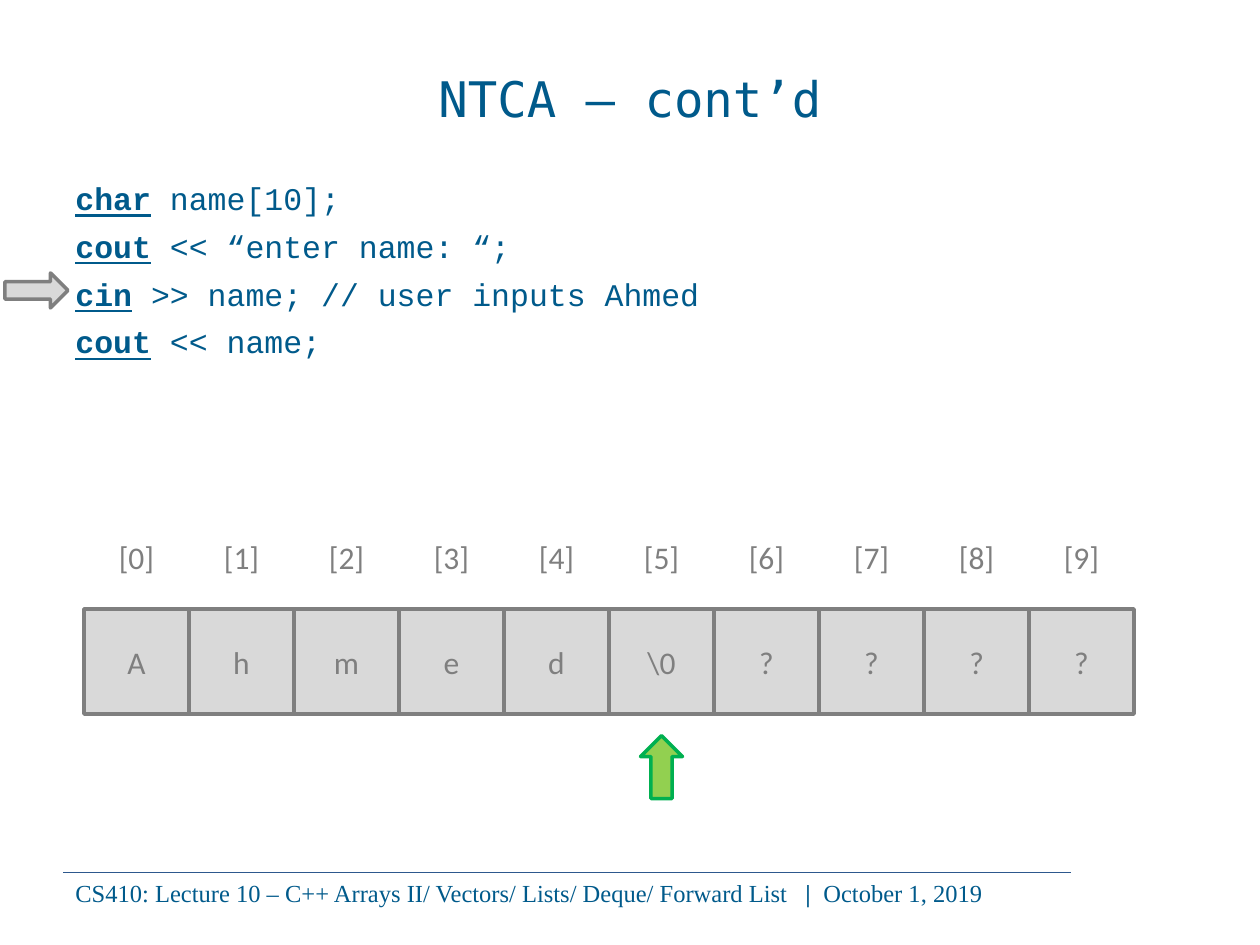
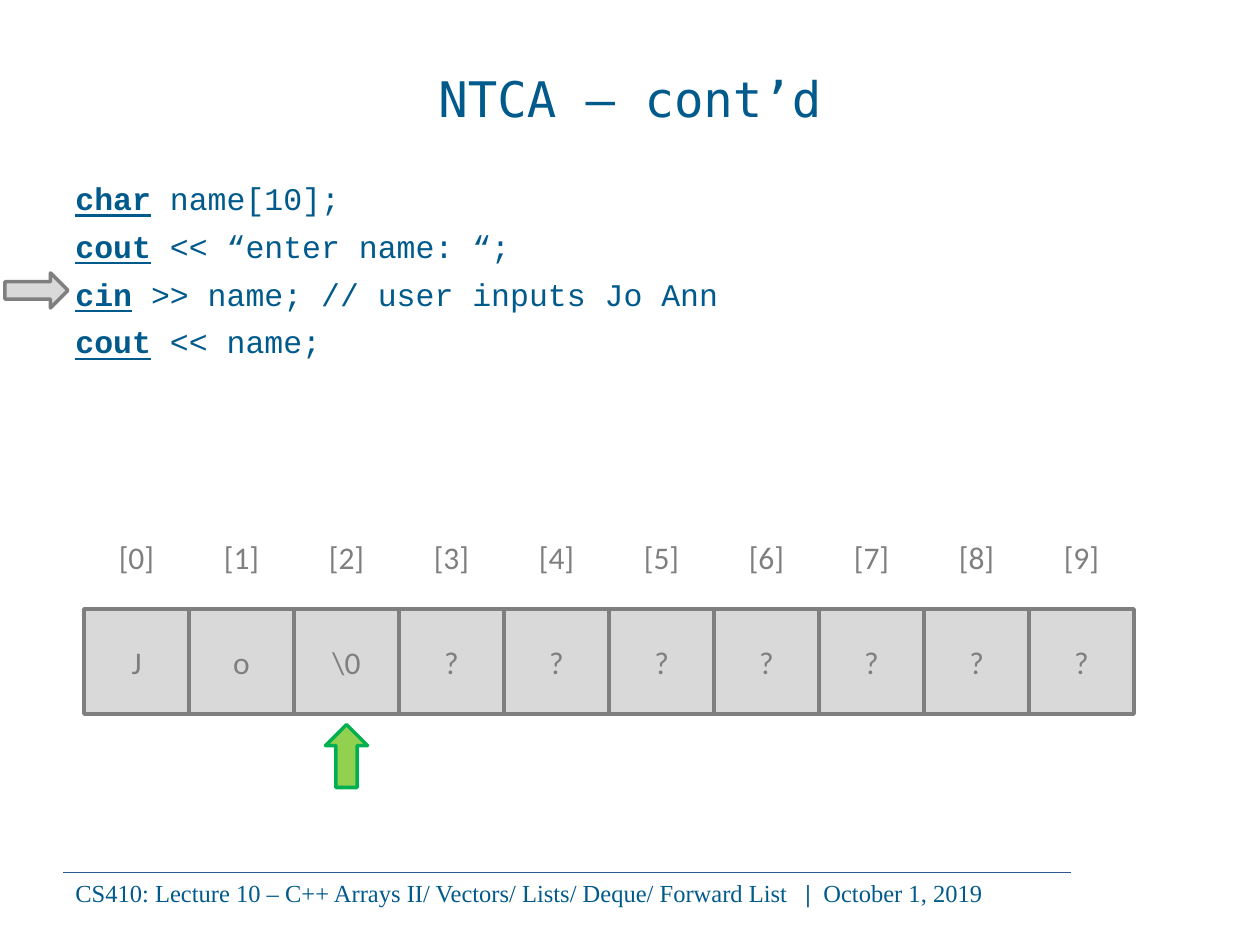
"""Build two slides showing how a null-terminated character array is filled."""
from dataclasses import dataclass

from lxml.etree import SubElement
from pptx import Presentation
from pptx.dml.color import RGBColor as Rgb
from pptx.enum.shapes import MSO_CONNECTOR as Connector, MSO_SHAPE as Shape
from pptx.enum.text import MSO_ANCHOR as Anchor, PP_ALIGN as Align
from pptx.oxml.ns import qn
from pptx.util import Pt

TITLE = "NTCA – cont’d"
COURSE = "CS410: Lecture 10 – C++ Arrays II/ Vectors/ Lists/ Deque/ Forward List"
DATE = "October 1, 2019"
EXAMPLES = [
    {"typed": "Ahmed", "pointer_top": 746},
    {"typed": "Jo Ann", "pointer_top": 735},
]
ARRAY_SIZE = 10


def code_lines(typed):
    """Return the program as keyword and remainder pairs."""
    return [
        ("char", f" name[{ARRAY_SIZE}];"),
        ("cout", " << “enter name: “;"),
        ("cin", f" >> name; // user inputs {typed}"),
        ("cout", " << name;"),
    ]


def stored_cells(typed):
    """Return the array after reading the first word typed."""
    cells = [*typed.split()[0], "\\0"]
    return cells + ["?"] * (ARRAY_SIZE - len(cells))


@dataclass(frozen=True)
class Theme:
    """Hold the colours, fonts and sizes of the slides."""
    ink: str = "005A8B"
    rule: str = "2D588D"
    grey: str = "7F7F7F"
    light: str = "D9D9D9"
    green: str = "92D050"
    dark_green: str = "00B050"
    title: tuple = ("DejaVu Sans Mono", 28)
    code: tuple = ("Courier New", 18)
    cell: tuple = ("Calibri", 18)
    footer: tuple = ("Times New Roman", 14)
    outline: float = 2
    rule_width: float = 0.5
    code_gap: float = 5.7


THEME = Theme()
SLIDE_SIZE = (1260, 945)
TITLE_BOX = (63, 38, 1134, 120)
CODE_BOX = (63, 168, 1155, 678)
CODE_INSET = 11
STEP_ARROW = (5, 273, 63, 35)
CELL, ARRAY_LEFT, ARRAY_TOP = 105, 84, 609
POINTER_SIZE = (63, 42)
RULE_LEFT, RULE_RIGHT, RULE_TOP = 63, 1071, 872
FOOTER_BOX = (63, 872, 1029, 72)
FOOTER_TABS = (730, 748)
PLAIN = {"bold": False, "underline": False}
BOLD = {"bold": True}
KEYWORD = {"bold": True, "underline": True}


def px(length):
    """Convert pixels to EMU."""
    return round(length * 914400 / 126)


def assign(target, values):
    """Set attributes from a dict."""
    for name, value in values.items():
        setattr(target, name, value)


def write(frame, lines, face, color, align=Align.LEFT, gap=0, **frame_format):
    """Fill a text frame with lines of (text, format) runs."""
    assign(frame, {"word_wrap": True, **frame_format})
    family, size = face
    for number, runs in enumerate(lines):
        paragraph = frame.add_paragraph() if number else frame.paragraphs[0]
        paragraph.alignment = align
        if number and gap:
            paragraph.space_before = Pt(gap)
        for words, run_format in runs:
            run = paragraph.add_run()
            run.text = words
            assign(run.font, {"name": family, "size": Pt(size), **run_format})
            run.font.color.rgb = Rgb.from_string(color)


def add_text(slide, box, *content, **options):
    """Add a text box and return its frame."""
    frame = slide.shapes.add_textbox(*map(px, box)).text_frame
    write(frame, *content, **options)
    return frame


def add_block(slide, kind, box, fill, line, rotation=0):
    """Add a filled, outlined shape."""
    block = slide.shapes.add_shape(kind, *map(px, box))
    block.rotation = rotation
    block.shadow.inherit = False
    block.fill.solid()
    block.fill.fore_color.rgb = Rgb.from_string(fill)
    block.line.color.rgb = Rgb.from_string(line)
    block.line.width = Pt(THEME.outline)
    return block


def add_frame(slide):
    """Add the title, rule and footer shared by the slides."""
    rule = slide.shapes.add_connector(
        Connector.STRAIGHT, *map(px, (RULE_LEFT, RULE_TOP, RULE_RIGHT, RULE_TOP)))
    rule.line.color.rgb = Rgb.from_string(THEME.rule)
    rule.line.width = Pt(THEME.rule_width)
    SubElement(rule._element.spPr, qn("a:effectLst"))

    footer_runs = [(f"{COURSE}\t", PLAIN), ("|\t", BOLD), (DATE, PLAIN)]
    footer = add_text(slide, FOOTER_BOX, [footer_runs], THEME.footer, THEME.ink)
    tabs = SubElement(footer.paragraphs[0]._p.get_or_add_pPr(), qn("a:tabLst"))
    for stop in FOOTER_TABS:
        SubElement(tabs, qn("a:tab"), pos=str(px(stop)), algn="l")

    add_text(slide, TITLE_BOX, [[(TITLE, PLAIN)]], THEME.title, THEME.ink,
             align=Align.CENTER, vertical_anchor=Anchor.MIDDLE)


def add_array(slide, cells, pointer_top):
    """Add the indexed cells and the arrow below the terminator."""
    centred = {"align": Align.CENTER, "vertical_anchor": Anchor.MIDDLE}
    for index, value in enumerate(cells):
        left = ARRAY_LEFT + index * CELL
        cell = add_block(slide, Shape.RECTANGLE, (left, ARRAY_TOP, CELL, CELL),
                         THEME.light, THEME.grey)
        write(cell.text_frame, [[(value, PLAIN)]], THEME.cell, THEME.grey, **centred)
        add_text(slide, (left, ARRAY_TOP - CELL, CELL, CELL),
                 [[(f"[{index}]", PLAIN)]], THEME.cell, THEME.grey, **centred)
    pointer_left = ARRAY_LEFT + cells.index("\\0") * CELL + (CELL - POINTER_SIZE[0]) // 2
    add_block(slide, Shape.RIGHT_ARROW, (pointer_left, pointer_top, *POINTER_SIZE),
              THEME.green, THEME.dark_green, rotation=270)


def main():
    """Build and save the slides."""
    deck = Presentation()
    deck.slide_width, deck.slide_height = map(px, SLIDE_SIZE)
    for example in EXAMPLES:
        slide = deck.slides.add_slide(deck.slide_layouts[6])
        add_frame(slide)
        program = [[(keyword, KEYWORD), (rest, PLAIN)]
                   for keyword, rest in code_lines(example["typed"])]
        add_text(slide, CODE_BOX, program, THEME.code, THEME.ink,
                 gap=THEME.code_gap, margin_top=px(CODE_INSET))
        add_block(slide, Shape.RIGHT_ARROW, STEP_ARROW, THEME.light, THEME.grey)
        add_array(slide, stored_cells(example["typed"]), example["pointer_top"])
    deck.save("out.pptx")


if __name__ == "__main__":
    main()
